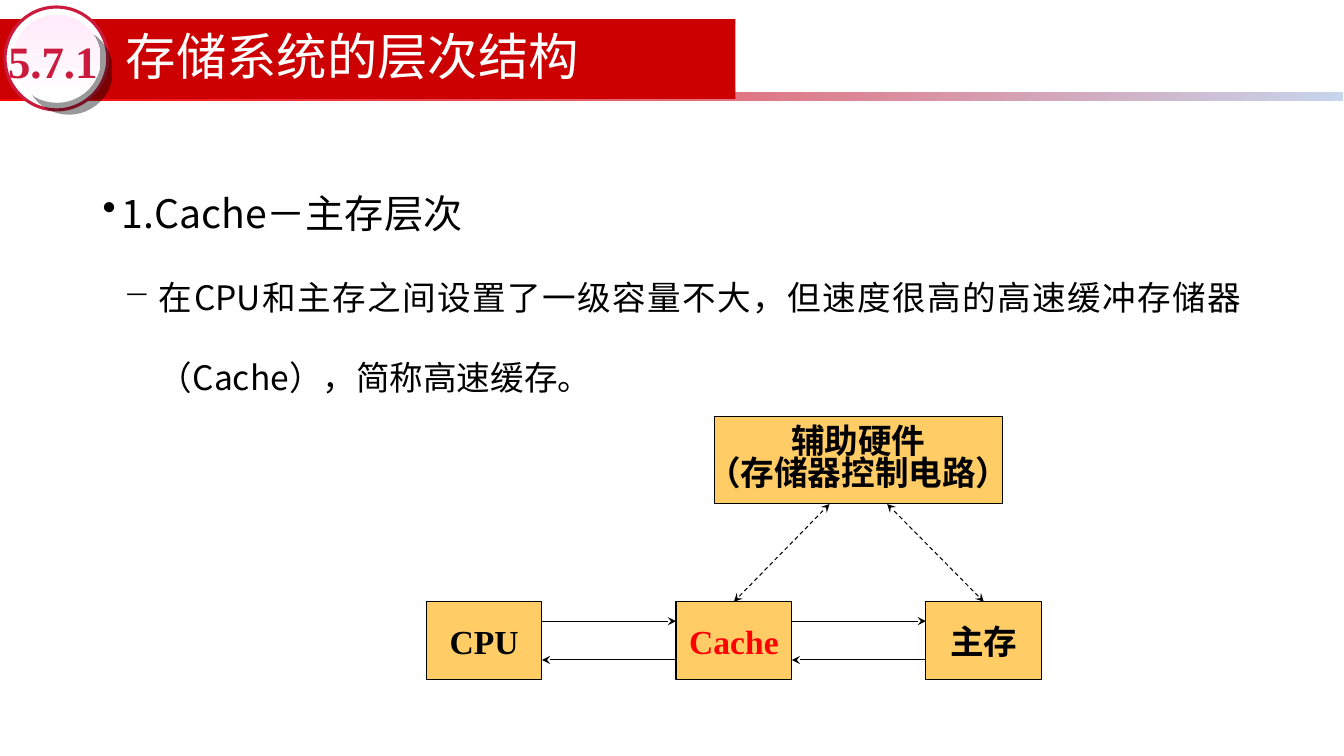
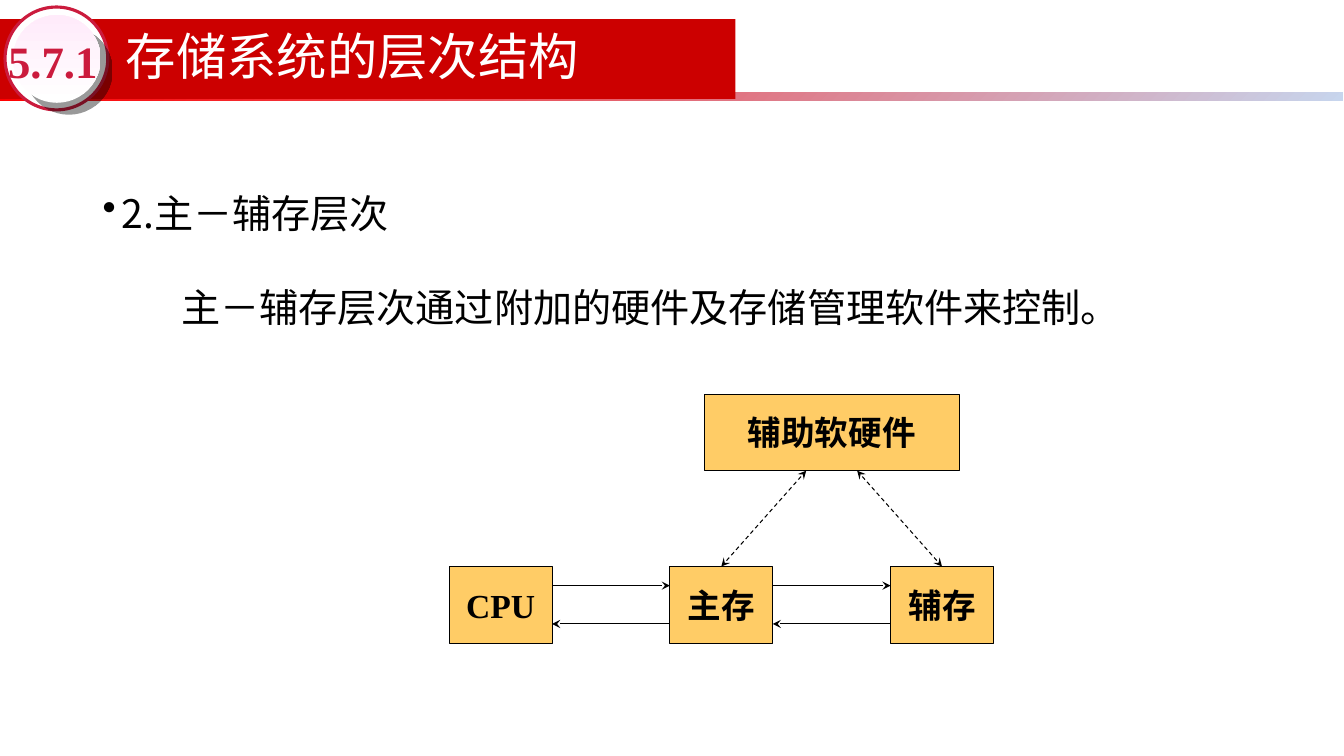
"""Build two slides on the levels of a storage hierarchy."""
from lxml.etree import SubElement
from pptx import Presentation
from pptx.dml.color import RGBColor
from pptx.enum.dml import MSO_LINE
from pptx.enum.shapes import MSO_CONNECTOR, MSO_SHAPE
from pptx.enum.text import MSO_ANCHOR, PP_ALIGN
from pptx.oxml.ns import qn
from pptx.util import Pt

SCALE = 9144
COLORS = {
    "red": "CC0000", "band_start": "FF0000", "band_end": "C7D5ED",
    "badge": "CB1B3D", "badge_tint": "FFEBFA", "white": "FFFFFF",
    "black": "000000", "node": "FFCC66", "accent": "FF0000",
}
SANS, SERIF = "Noto Sans CJK SC", "Times New Roman"
TITLE, SECTION = "存储系统的层次结构", "5.7.1"

HEADING = {"size": 28, "margin": 19, "indent": -19, "bullet": "•"}
DETAIL = {"size": 24, "margin": 56, "indent": -35, "bullet": "−"}
PLAIN = {"size": 28, "margin": 78, "indent": 0, "bullet": None}

SLIDES = [
    {
        "align": PP_ALIGN.JUSTIFY,
        "body": [
            ("1.Cache－主存层次", HEADING),
            ("在CPU和主存之间设置了一级容量不大，但速度很高的高速缓冲存储器"
             "（Cache），简称高速缓存。", DETAIL),
        ],
        "helper": (["辅助硬件", "（存储器控制电路）"], (709, 413, 286, 87)),
        "nodes": [("CPU", "black"), ("Cache", "accent"), ("主存", "black")],
        "row": {"left": 423, "pitch": 248, "top": 597, "width": 115, "height": 77},
    },
    {
        "align": PP_ALIGN.LEFT,
        "body": [
            ("2.主－辅存层次", HEADING),
            ("主－辅存层次通过附加的硬件及存储管理软件来控制。", PLAIN),
        ],
        "helper": (["辅助软硬件"], (699, 391, 253, 76)),
        "nodes": [("CPU", "black"), ("主存", "black"), ("辅存", "black")],
        "row": {"left": 446, "pitch": 219, "top": 562, "width": 102, "height": 76},
    },
]


def emu(*lengths):
    return [round(length * SCALE) for length in lengths]


def color(name):
    return RGBColor.from_string(COLORS[name])


def add_run(para, text, size, font, tint, bold=False):
    span = para.add_run()
    span.text = text
    span.font.size = Pt(size)
    span.font.name = font
    span.font.bold = bold
    span.font.color.rgb = color(tint)
    SubElement(span.font._element, qn("a:ea"), typeface=SANS)


def add_figure(page, kind, place, fills, angle=0, line=None, weight=0.75):
    figure = page.shapes.add_shape(kind, *emu(*place))
    figure.shadow.inherit = False
    if len(fills) == 1:
        figure.fill.solid()
        figure.fill.fore_color.rgb = color(fills[0])
    else:
        figure.fill.gradient()
        figure.fill.gradient_angle = angle
        for stop, name in zip(figure.fill.gradient_stops, fills):
            stop.color.rgb = color(name)
    if line:
        figure.line.color.rgb = color(line)
        figure.line.width = Pt(weight)
    else:
        figure.line.fill.background()
    return figure


def add_text_box(page, place, anchor=MSO_ANCHOR.MIDDLE):
    frame = page.shapes.add_textbox(*emu(*place)).text_frame
    frame.word_wrap = True
    frame.vertical_anchor = anchor
    return frame


def add_header(page):
    add_figure(page, MSO_SHAPE.RECTANGLE, (0, 92, 1333, 8),
               ["band_start", "band_end"], angle=315)
    add_figure(page, MSO_SHAPE.RECTANGLE, (0, 19, 730, 79), ["red"])
    add_figure(page, MSO_SHAPE.OVAL, (5, 7, 102, 102), ["white"],
               line="badge", weight=2.25)
    disc = add_figure(page, MSO_SHAPE.OVAL, (13, 15, 87, 87),
                      ["white", "badge_tint"], angle=90)
    effects = disc._element.spPr.find(qn("a:effectLst"))
    shadow = SubElement(effects, qn("a:outerShdw"), blurRad="0",
                        dist=str(Pt(12.1)), dir="2700000", algn="ctr", rotWithShape="0")
    shade = SubElement(shadow, qn("a:srgbClr"), val=COLORS["black"])
    SubElement(shade, qn("a:alpha"), val="40000")

    title = add_text_box(page, (115, 18, 744, 82)).paragraphs[0]
    title.line_spacing = 0.9
    add_run(title, TITLE, 36, SANS, "white")

    badge = add_text_box(page, (8, 33, 93, 54))
    badge.margin_left = badge.margin_right = badge.margin_top = badge.margin_bottom = 0
    add_run(badge.paragraphs[0], SECTION, 32, SERIF, "badge", bold=True)


def add_body(page, entries, align):
    frame = add_text_box(page, (92, 136, 1150, 544), MSO_ANCHOR.TOP)
    for index, (text, style) in enumerate(entries):
        para = frame.add_paragraph() if index else frame.paragraphs[0]
        para.alignment = align
        para.line_spacing = 2.0
        margin, indent = emu(style["margin"], style["indent"])
        settings = para._p.get_or_add_pPr()
        settings.set("marL", str(margin))
        settings.set("indent", str(indent))
        if style["bullet"]:
            tint = SubElement(settings, qn("a:buClr"))
            SubElement(tint, qn("a:srgbClr"), val=COLORS["black"])
            SubElement(settings, qn("a:buChar"), char=style["bullet"])
        add_run(para, text, style["size"], SANS, "black")


def add_node(page, lines, place, tint="black"):
    node = add_figure(page, MSO_SHAPE.RECTANGLE, place, ["node"], line="black")
    frame = node.text_frame
    frame.word_wrap = False
    frame.vertical_anchor = MSO_ANCHOR.MIDDLE
    for index, text in enumerate(lines):
        para = frame.add_paragraph() if index else frame.paragraphs[0]
        para.alignment = PP_ALIGN.CENTER
        if len(lines) > 1:
            para.line_spacing = 0.8
        add_run(para, text, 24, SERIF, tint, bold=True)
    return node


def add_arrow(page, start, end, dashed=False):
    arrow = page.shapes.add_connector(MSO_CONNECTOR.STRAIGHT, *emu(*start, *end))
    arrow.line.color.rgb = color("black")
    arrow.line.width = Pt(0.75)
    if dashed:
        arrow.line.dash_style = MSO_LINE.DASH
    outline = arrow.line._get_or_add_ln()
    for end_name in ["a:headEnd", "a:tailEnd"] if dashed else ["a:tailEnd"]:
        SubElement(outline, qn(end_name), type="stealth")
    SubElement(arrow._element.spPr, qn("a:effectLst"))
    return arrow


def add_diagram(page, helper, nodes, row):
    lines, place = helper
    add_node(page, lines, place)
    left, top, width, height = place
    lefts = [row["left"] + index * row["pitch"] for index in range(len(nodes))]
    boxes = [
        add_node(page, [text], (x, row["top"], row["width"], row["height"]), tint)
        for x, (text, tint) in zip(lefts, nodes)
    ]
    upper, lower = (row["top"] + row["height"] * part for part in (0.25, 0.75))
    for x, following in zip(lefts, lefts[1:]):
        edge = x + row["width"]
        add_arrow(page, (edge, upper), (following, upper))
        add_arrow(page, (following, lower), (edge, lower))
    for x, box, part in zip(lefts[1:], boxes[1:], (0.4, 0.6)):
        arrow = add_arrow(page, (x + row["width"] / 2, row["top"]),
                          (left + width * part, top + height), dashed=True)
        arrow.begin_connect(box, 0)


def main():
    deck = Presentation()
    deck.slide_width, deck.slide_height = emu(1334, 750)
    for content in SLIDES:
        page = deck.slides.add_slide(deck.slide_layouts[6])
        add_header(page)
        add_body(page, content["body"], content["align"])
        add_diagram(page, content["helper"], content["nodes"], content["row"])
    deck.save("out.pptx")


if __name__ == "__main__":
    main()
